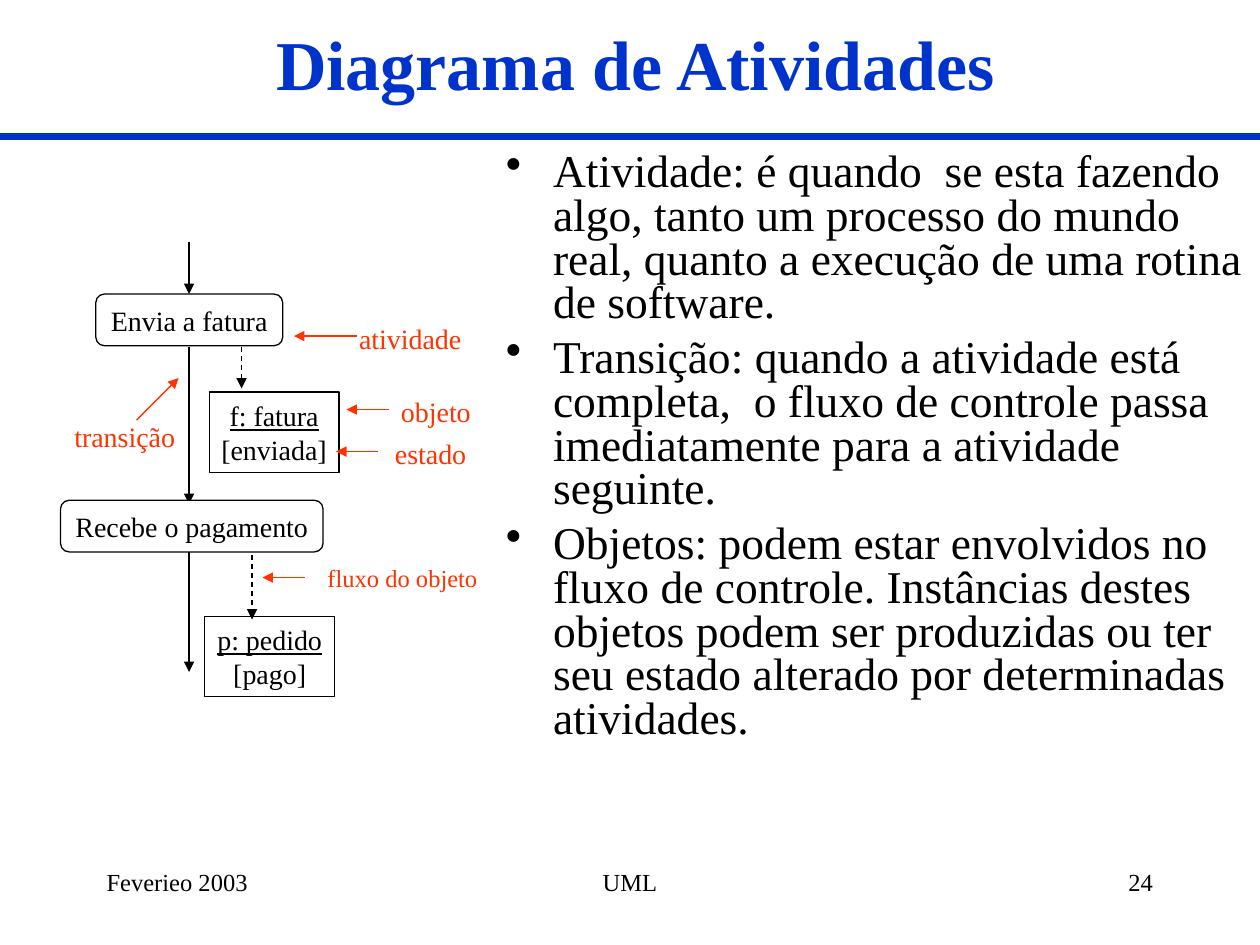
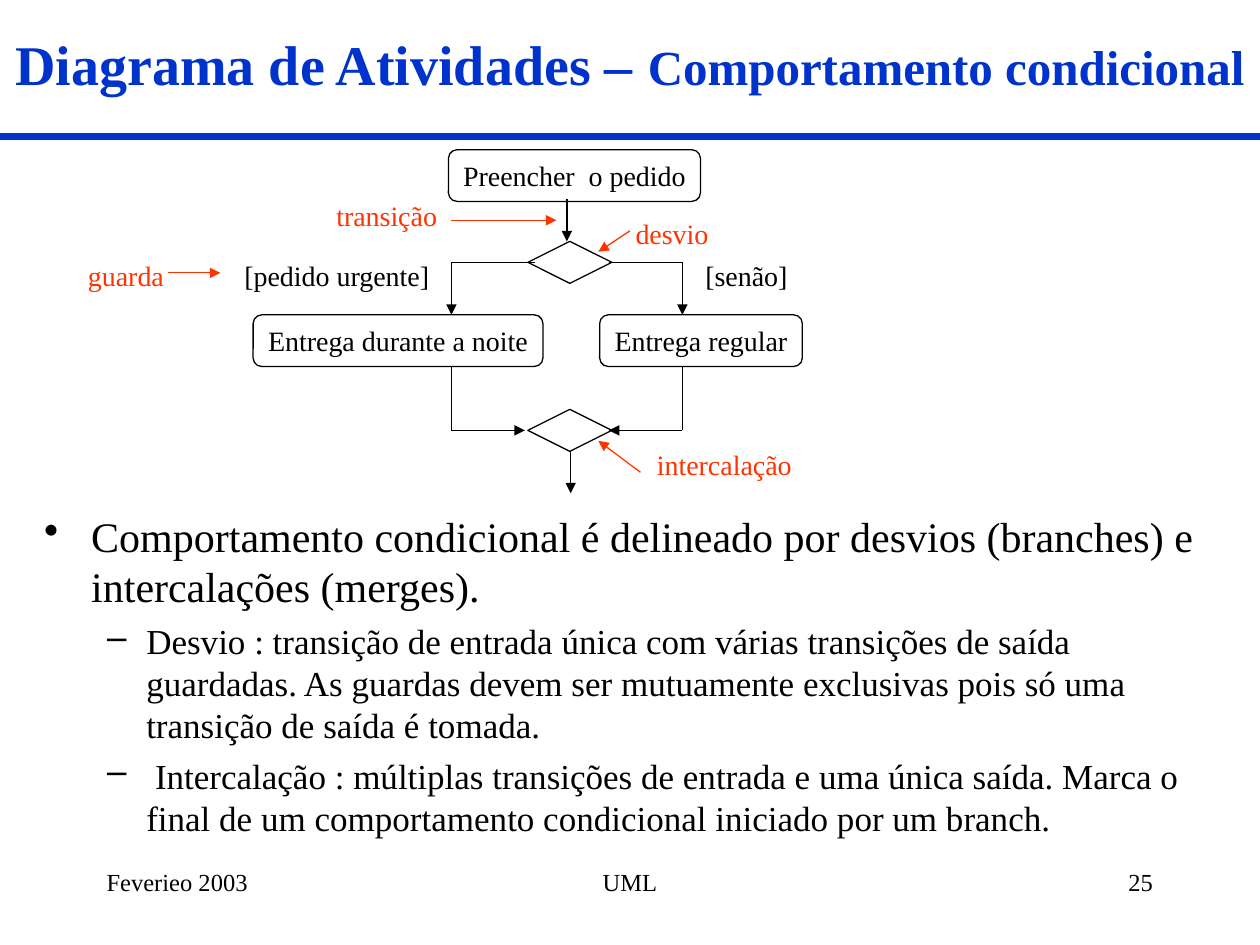
from dataclasses import dataclass

from lxml import etree
from pptx import Presentation
from pptx.dml.color import RGBColor
from pptx.enum.dml import MSO_LINE
from pptx.enum.shapes import MSO_CONNECTOR, MSO_SHAPE
from pptx.enum.text import MSO_ANCHOR, PP_ALIGN
from pptx.oxml.ns import qn
from pptx.util import Cm, Pt

LEFT, MID, RIGHT = PP_ALIGN.LEFT, PP_ALIGN.CENTER, PP_ALIGN.RIGHT
TOP, CENTER = MSO_ANCHOR.TOP, MSO_ANCHOR.MIDDLE
ROUND, RECT = MSO_SHAPE.ROUNDED_RECTANGLE, MSO_SHAPE.RECTANGLE
DIAMOND, STRAIGHT = MSO_SHAPE.DIAMOND, MSO_CONNECTOR.STRAIGHT
DASH = MSO_LINE.DASH


@dataclass(frozen=True)
class Theme:
    font: str = "Times New Roman"
    ink: RGBColor = RGBColor(0x00, 0x00, 0x00)
    blue: RGBColor = RGBColor(0x00, 0x33, 0xCC)
    red: RGBColor = RGBColor(0xFF, 0x33, 0x00)
    white: RGBColor = RGBColor(0xFF, 0xFF, 0xFF)
    label: int = 16
    small: int = 14
    thin: float = 0.75
    bar: int = 4


THEME = Theme()
WIDE, HIGH = 25.4, 19.05
GRID = 2.54 / 12  # diagram step in cm

# Bullet levels: sign, left margin and hang in cm
LEVELS = [("•", 0.95, 0.95), ("–", 2.06, 0.79)]


def style(para, size, color=THEME.ink, align=LEFT, bold=False, under=False):
    para.alignment = align
    font = para.font
    font.name, font.bold = THEME.font, bold
    font.color.rgb = color
    if size:
        font.size = Pt(size)
    if under:
        font.underline = True


def text_box(slide, box, wrap=True, anchor=TOP):
    frame = slide.shapes.add_textbox(*map(Cm, box)).text_frame
    frame.word_wrap = wrap
    frame.vertical_anchor = anchor
    return frame


def line(slide, ends, color=THEME.ink, width=THEME.thin, dash=False, tip=True):
    link = slide.shapes.add_connector(STRAIGHT, *map(Cm, ends))
    link.line.color.rgb = color
    link.line.width = Pt(width)
    if dash:
        link.line.dash_style = DASH
    if tip:
        etree.SubElement(link.line._get_or_add_ln(), qn("a:tailEnd"), type="triangle")
    etree.SubElement(link._element.spPr, qn("a:effectLst"))


class Chart:
    """Draws activity diagram parts in grid steps from a corner in cm."""

    def __init__(self, slide, left, top):
        self.slide, self.left, self.top = slide, left, top

    def spot(self, x, y):
        return self.left + x * GRID, self.top + y * GRID

    def area(self, x, y, w, h):
        return *self.spot(x, y), w * GRID, h * GRID

    def arrow(self, x1, y1, x2, y2, **look):
        line(self.slide, self.spot(x1, y1) + self.spot(x2, y2), **look)

    def shape(self, kind, x, y, w, h, text="", fill=False):
        part = self.slide.shapes.add_shape(kind, *map(Cm, self.area(x, y, w, h)))
        part.shadow.inherit = False
        part.line.color.rgb = THEME.ink
        part.line.width = Pt(THEME.thin)
        if fill:
            part.fill.solid()
            part.fill.fore_color.rgb = THEME.white
        else:
            part.fill.background()
        if text:
            frame = part.text_frame
            frame.word_wrap = False
            frame.text = text
            for para in frame.paragraphs:
                # The first of two lines names the object
                under = kind == RECT and para.text == text.split("\n")[0]
                style(para, THEME.label, align=MID, under=under)

    def step(self, text, x, y, w, fill=False):
        self.shape(ROUND, x, y, w, 4.92, text, fill)

    def label(self, text, x, y, w, color=THEME.red, align=MID, size=THEME.label):
        frame = text_box(self.slide, self.area(x, y, w, 4.4), wrap=align != MID)
        frame.text = text
        style(frame.paragraphs[0], size, color, align)


def title(slide, box, runs):
    para = text_box(slide, box, anchor=CENTER).paragraphs[0]
    style(para, None, THEME.blue, MID, bold=True)
    for text, size in runs:
        run = para.add_run()
        run.text = text
        run.font.size = Pt(size)


def bar(slide):
    line(slide, (0, 2.75, WIDE, 2.75), THEME.blue, THEME.bar, tip=False)


def footer(slide, number):
    parts = [("Feverieo 2003", 1.9, 5.28, LEFT), ("UML", 8.68, 8.04, MID),
             (str(number), 18.21, 5.28, RIGHT)]
    for text, left, width, align in parts:
        frame = text_box(slide, (left, 17.36, width, 1.27))
        frame.text = text
        style(frame.paragraphs[0], THEME.small, align=align)


def bullets(slide, box, items, sizes, before, space=1.0):
    frame = text_box(slide, box)
    for i, (level, text) in enumerate(items):
        para = frame.add_paragraph() if i else frame.paragraphs[0]
        para.text = text
        para.level = level
        para.line_spacing = space
        para.space_before = Pt(before[level])
        sign, margin, hang = LEVELS[level]
        props = para._p.get_or_add_pPr()
        props.set("marL", str(Cm(margin)))
        props.set("indent", str(-Cm(hang)))
        etree.SubElement(props, qn("a:buChar"), char=sign)
        style(para, sizes[level])


def invoice_flow(slide, left, top):
    chart = Chart(slide, left, top)
    # Control flow, then object flow
    for ends in [(13, 0, 13, 5), (13, 10, 13, 25), (13, 29, 13, 41)]:
        chart.arrow(*ends)
    for ends in [(18, 10, 18, 14), (19, 29, 19, 36)]:
        chart.arrow(*ends, dash=True)
    # Activities and objects
    chart.step("Envia a fatura", 4.12, 5, 17.8)
    chart.step("Recebe o pagamento", 0.76, 24.64, 25, fill=True)
    chart.shape(RECT, 14.92, 14.32, 12.36, 7.68, "f: fatura\n[enviada]")
    chart.shape(RECT, 14.5, 35.68, 12.36, 7.68, "p: pedido\n[pago]")
    # Callouts
    for ends in [(8, 17, 12, 13), (29, 9, 23, 9), (32, 16, 28, 16),
                 (24, 32, 20, 32), (31, 20, 27, 20)]:
        chart.arrow(*ends, color=THEME.red)
    chart.label("transição", 0.88, 16.36, 12)
    chart.label("atividade", 28, 7, 14, align=LEFT)
    chart.label("objeto", 32, 14, 10, align=LEFT)
    chart.label("estado", 31, 18, 10)
    chart.label("fluxo do objeto", 25, 30, 19, align=LEFT, size=THEME.small)


def branch_flow(slide, left, top):
    chart = Chart(slide, left, top)
    # Activities, branch and merge
    chart.step("Preencher  o pedido", 35.72, 0.28, 24)
    chart.step("Entrega durante a noite", 17.12, 16, 27.6)
    chart.step("Entrega regular", 50.12, 16, 19.3)
    for y in (9, 25):
        chart.shape(DIAMOND, 43.28, y, 8, 4)
    # Both sides leave the branch and come back to the merge
    for side, out, back in [(36, 44, 43), (58, 51, 51)]:
        chart.arrow(out, 11, side, 11, tip=False)
        chart.arrow(side, 11, side, 16)
        chart.arrow(side, 21, side, 27, tip=False)
        chart.arrow(side, 27, back, 27)
    chart.arrow(47, 5, 47, 9)
    chart.arrow(47.36, 29, 47.36, 33)
    # Guards
    chart.label("[pedido urgente]", 15.08, 10, 20, THEME.ink)
    chart.label("[senão]", 59, 10, 10.2, THEME.ink)
    # Callouts
    for ends in [(36, 7, 46, 7), (53, 8, 50, 10), (9, 12, 14, 12), (54, 31, 50, 28)]:
        chart.arrow(*ends, color=THEME.red)
    chart.label("transição", 23.84, 4.36, 12)
    chart.label("desvio", 52, 6, 10)
    chart.label("guarda", 0, 10, 10)
    chart.label("intercalação", 53, 28, 18)


def activity_slide(slide):
    title(slide, (1.06, 0, 23.5, 2.54), [("Diagrama de Atividades", 40)])
    invoice_flow(slide, 1.06, 4.87)
    bullets(slide, (9.95, 2.96, 15.45, 13.12), [
        (0, "Atividade: é quando  se esta fazendo algo, tanto um processo do mundo "
            "real, quanto a execução de uma rotina de software."),
        (0, "Transição: quando a atividade está completa,  o fluxo de controle passa "
            "imediatamente para a atividade seguinte."),
        (0, "Objetos: podem estar envolvidos no fluxo de controle. Instâncias destes "
            "objetos podem ser produzidas ou ter seu estado alterado por "
            "determinadas atividades."),
    ], sizes=[26], before=[6.5], space=0.8)


def condition_slide(slide):
    title(slide, (0, 0, WIDE, 2.54),
          [("Diagrama de Atividades – ", 32), ("Comportamento condicional", 28)])
    branch_flow(slide, 1.48, 2.96)
    bullets(slide, (0.64, 10.16, 23.92, 6.98), [
        (0, "Comportamento condicional é delineado por desvios (branches) e "
            "intercalações (merges)."),
        (1, "Desvio : transição de entrada única com várias transições de saída "
            "guardadas. As guardas devem ser mutuamente exclusivas pois só uma "
            "transição de saída é tomada."),
        (1, " Intercalação : múltiplas transições de entrada e uma única saída. "
            "Marca o final de um comportamento condicional iniciado por um branch."),
    ], sizes=[24, 20], before=[6, 5])


def main():
    deck = Presentation()
    deck.slide_width, deck.slide_height = Cm(WIDE), Cm(HIGH)
    for number, build in enumerate([activity_slide, condition_slide], 24):
        slide = deck.slides.add_slide(deck.slide_layouts[6])
        bar(slide)
        build(slide)
        footer(slide, number)
    deck.save("out.pptx")


if __name__ == "__main__":
    main()
